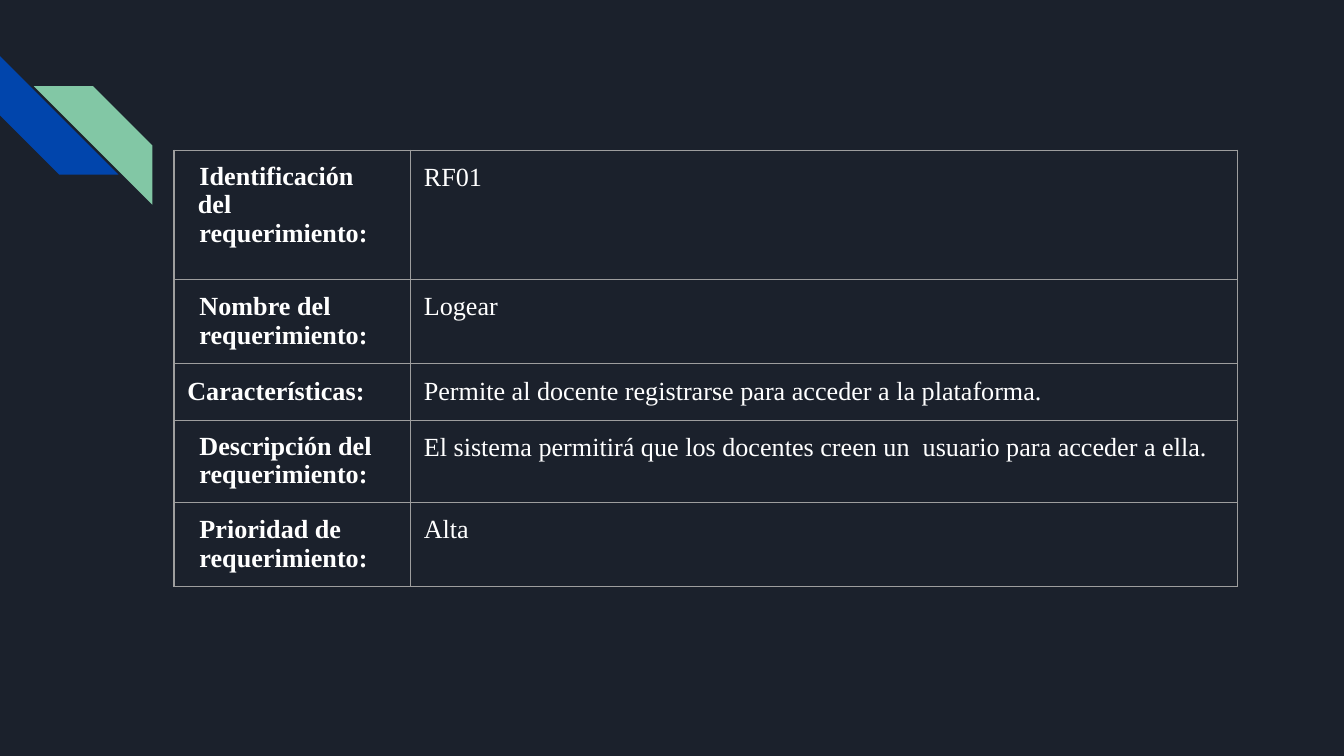
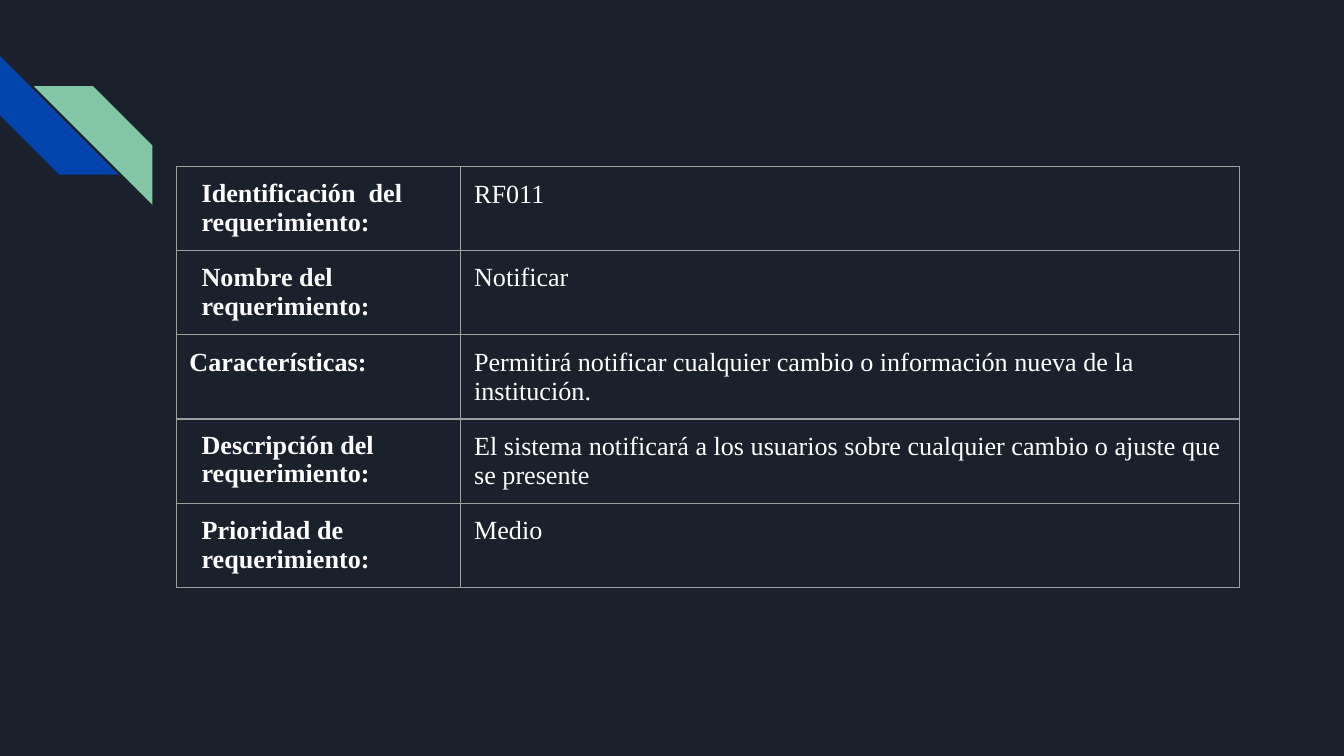
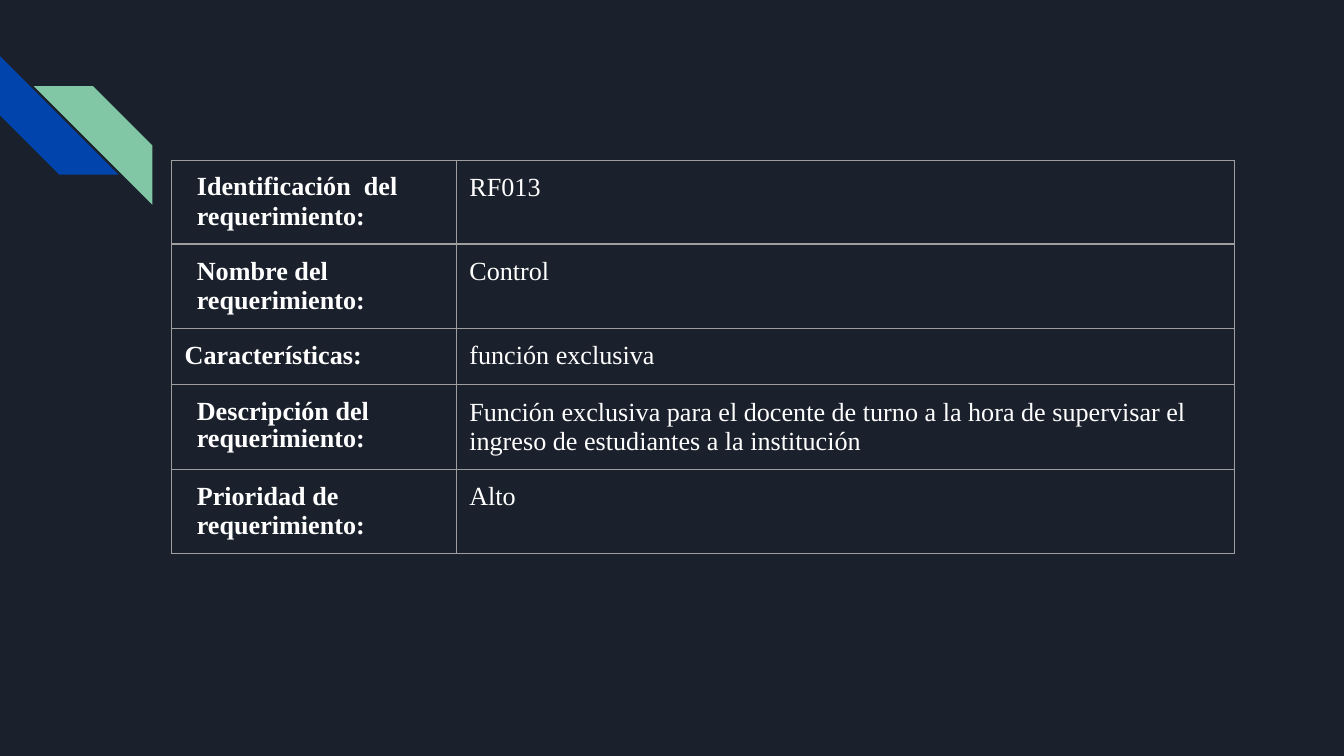
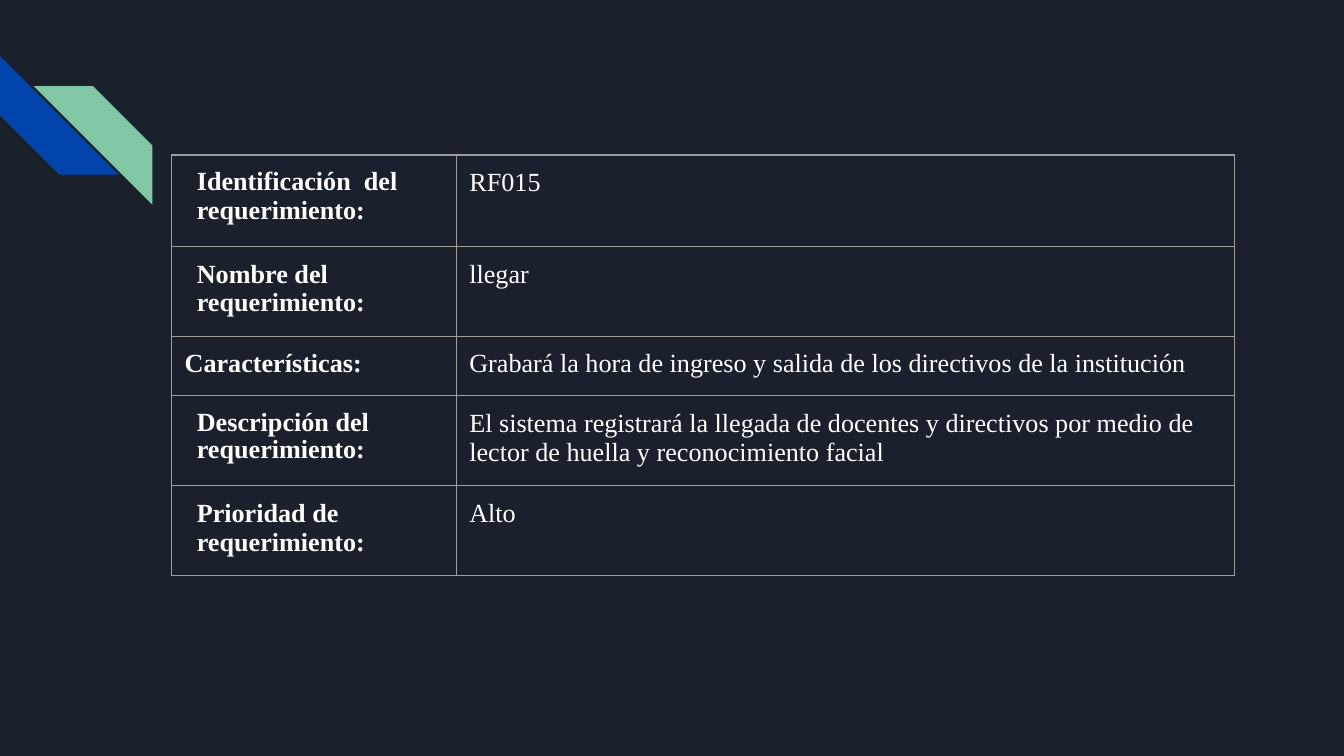
from lxml.etree import SubElement
from pptx import Presentation
from pptx.dml.color import RGBColor
from pptx.enum.shapes import MSO_SHAPE as Shape
from pptx.oxml.ns import qn
from pptx.util import Cm, Pt

BACKGROUND = "1B212C"
BLUE = "0145AC"
GREEN = "82C7A5"
WHITE = "FFFFFF"
GRID = "9E9E9E"
FONT = "Times New Roman"
STRIPE_SIZE = 2.24
CELL_MARGIN = 0.25
TABLE_WIDTH = 20.09

INDENTED = {"left": 0.23}
REQUIREMENT = ("requerimiento:", INDENTED)
LABELS = [
    [("Identificación  del", {"left": 0.2, "first": 0.03, "spacing": 0.96}),
     ("requerimiento:", {"left": 0.23, "before": 0.3})],
    [("Nombre del", INDENTED), REQUIREMENT],
    [("Características:", {})],
    [("Descripción del  requerimiento:", {"left": 0.23, "spacing": 0.96})],
    [("Prioridad de", INDENTED), REQUIREMENT],
]

REQUIREMENTS = [
    {"left": 3.29, "top": 2.84, "label_width": 4.47,
     "heights": [2.44, 1.07, 1.07, 1.07, 1.07],
     "values": [
         "RF01",
         "Logear",
         "Permite al docente registrarse para acceder a la plataforma.",
         "El sistema permitirá que los docentes creen un  usuario para acceder a ella.",
         "Alta"]},
    {"left": 3.33, "top": 3.15, "label_width": 5.38,
     "heights": [1.07] * 5,
     "values": [
         "RF011",
         "Notificar",
         "Permitirá notificar cualquier cambio o información nueva de la institución.",
         "El sistema notificará a los usuarios sobre cualquier cambio o ajuste que se presente",
         "Medio"]},
    {"left": 3.24, "top": 3.03, "label_width": 5.38,
     "heights": [1.07] * 5,
     "values": [
         "RF013",
         "Control",
         "función exclusiva",
         "Función exclusiva para el docente de turno a la hora de supervisar el "
         "ingreso de estudiantes a la institución",
         "Alto"]},
    {"left": 3.24, "top": 2.93, "label_width": 5.38,
     "heights": [1.73, 1.7, 1.12, 1.7, 1.7],
     "values": [
         "RF015",
         "llegar",
         "Grabará la hora de ingreso y salida de los directivos de la institución",
         "El sistema registrará la llegada de docentes y directivos por medio de "
         "lector de huella y reconocimiento facial",
         "Alto"]},
]


def paint(fill, color):
    """Give a fill one solid colour from a hex string."""
    fill.solid()
    fill.fore_color.rgb = RGBColor.from_string(color)


def write(paragraph, text, bold=False, left=0, first=0, spacing=None, before=None):
    """Write formatted text into a paragraph."""
    run = paragraph.add_run()
    run.text = text
    run.font.name = FONT
    run.font.size = Pt(14)
    run.font.bold = bold
    paint(run.font.fill, WHITE)
    properties = paragraph._p.get_or_add_pPr()
    properties.set("marL", str(Cm(left)))
    properties.set("indent", str(Cm(first)))
    if spacing is not None:
        paragraph.line_spacing = spacing
    if before is not None:
        paragraph.space_before = Pt(before)


def add_stripe(slide, left, top, rotation, color):
    """Add a turned diagonal stripe."""
    shape = slide.shapes.add_shape(
        Shape.DIAGONAL_STRIPE, Cm(left), Cm(top), Cm(STRIPE_SIZE), Cm(STRIPE_SIZE))
    shape.rotation = rotation
    shape.shadow.inherit = False
    paint(shape.fill, color)
    shape.line.fill.background()


def add_borders(cell):
    """Draw thin grid lines on all four sides of a cell."""
    properties = cell._tc.get_or_add_tcPr()
    for side in ("a:lnL", "a:lnR", "a:lnT", "a:lnB"):
        line = SubElement(properties, qn(side), w=str(Pt(0.75)))
        fill = SubElement(line, qn("a:solidFill"))
        SubElement(fill, qn("a:srgbClr"), val=GRID)


def fill_cell(cell, lines, bold=False):
    """Set a cell's borders and margins and write its lines."""
    add_borders(cell)
    cell.fill.background()
    cell.margin_left = cell.margin_right = Cm(CELL_MARGIN)
    cell.margin_top = cell.margin_bottom = Cm(CELL_MARGIN)
    frame = cell.text_frame
    for index, (text, layout) in enumerate(lines):
        paragraph = frame.add_paragraph() if index else frame.paragraphs[0]
        write(paragraph, text, bold=bold, **layout)


def add_requirement_table(slide, left, top, label_width, heights, values):
    """Add the two-column table that describes one requirement."""
    table = slide.shapes.add_table(
        len(LABELS), 2, Cm(left), Cm(top), Cm(TABLE_WIDTH), Cm(sum(heights))).table
    table.first_row = False
    table.horz_banding = False
    table.columns[0].width = Cm(label_width)
    table.columns[1].width = Cm(TABLE_WIDTH - label_width)
    for row, height, label, value in zip(table.rows, heights, LABELS, values):
        row.height = Cm(height)
        fill_cell(row.cells[0], label, bold=True)
        fill_cell(row.cells[1], [(value, {})])


def main():
    """Build one slide for each requirement and save the presentation."""
    presentation = Presentation()
    presentation.slide_width = Cm(25.4)
    presentation.slide_height = Cm(14.29)
    paint(presentation.slide_master.background.fill, BACKGROUND)
    for requirement in REQUIREMENTS:
        slide = presentation.slides.add_slide(presentation.slide_layouts[6])
        for placeholder in list(slide.placeholders):
            placeholder.element.getparent().remove(placeholder.element)
        add_stripe(slide, 0, 1.06, 270, BLUE)
        add_stripe(slide, 0.64, 1.63, 90, GREEN)
        add_requirement_table(slide, **requirement)
    presentation.save("out.pptx")


if __name__ == "__main__":
    main()
